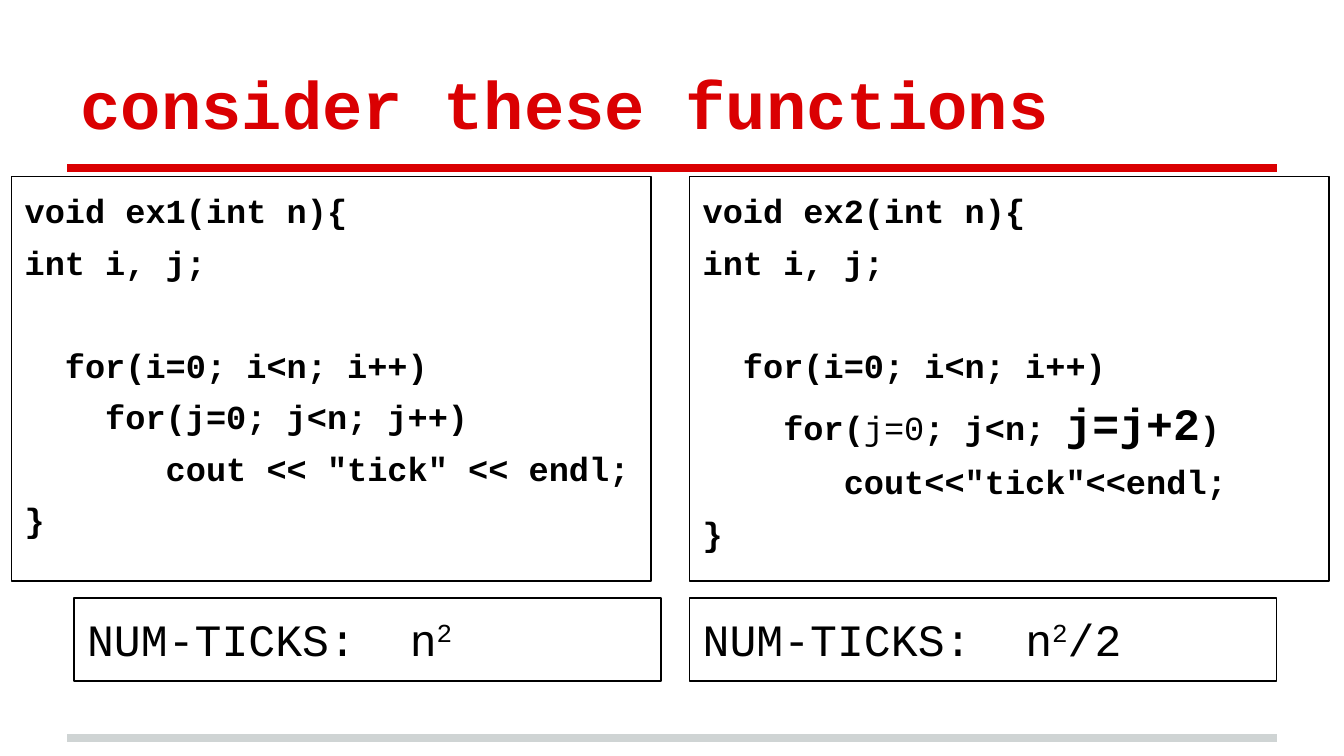
from dataclasses import dataclass

from lxml import etree
from pptx import Presentation
from pptx import util as u
from pptx.dml.color import RGBColor
from pptx.enum import shapes, text
from pptx.oxml.ns import qn


@dataclass(frozen=True)
class Theme:
    font: str = "Courier New"
    red: str = "DA0002"
    gray: str = "CFD4D4"
    ink: str = "000000"
    head: int = 36
    big: int = 24
    code: int = 18
    rule: float = 4
    edge: float = 0.75
    inset: float = 0.1
    gap: float = 6

    @property
    def char(self):
        """Width in points of one character of code."""
        return self.code * 0.6

    @property
    def skip(self):
        """Space in points that stands for one empty line of code."""
        return self.code * 1.2 + 2 * self.gap


class Page:
    """Places elements on one slide, in percent of its width and height."""

    def __init__(self, deck, theme):
        self.wide, self.high = deck.slide_width, deck.slide_height
        self.theme = theme
        self.slide = deck.slides.add_slide(deck.slide_layouts[5])

    def spot(self, x, y):
        return round(self.wide * x / 100), round(self.high * y / 100)

    def frame(self, shape, anchor):
        box = shape.text_frame
        box.word_wrap = True
        box.auto_size = text.MSO_AUTO_SIZE.NONE
        box.vertical_anchor = anchor
        pad = u.Inches(self.theme.inset)
        box.margin_left = box.margin_right = pad
        box.margin_top = box.margin_bottom = pad
        return box

    def run(self, para, words, size, bold=False, color=None, lift=False):
        run = para.add_run()
        run.text = words
        font = run.font
        font.name, font.size, font.bold = self.theme.font, u.Pt(size), bold
        font.color.rgb = RGBColor.from_string(color or self.theme.ink)
        if lift:
            font._element.set("baseline", "30000")

    def title(self, words, x, y, w, h):
        shape = self.slide.shapes.title
        shape.left, shape.top = self.spot(x, y)
        shape.width, shape.height = self.spot(w, h)
        para = self.frame(shape, text.MSO_ANCHOR.BOTTOM).paragraphs[0]
        para.alignment = text.PP_ALIGN.LEFT
        self.run(para, words, self.theme.head, True, self.theme.red)

    def rule(self, y, color, x=5, w=90):
        line = self.slide.shapes.add_connector(
            shapes.MSO_CONNECTOR.STRAIGHT, *self.spot(x, y), *self.spot(x + w, y))
        line.line.color.rgb = RGBColor.from_string(color)
        line.line.width = u.Pt(self.theme.rule)
        etree.SubElement(line._element.spPr, qn("a:effectLst"))

    def box(self, x, y, w, h):
        shape = self.slide.shapes.add_shape(
            shapes.MSO_SHAPE.RECTANGLE, *self.spot(x, y), *self.spot(w, h))
        shape.shadow.inherit = False
        shape.fill.background()
        shape.line.color.rgb = RGBColor.from_string(self.theme.ink)
        shape.line.width = u.Pt(self.theme.edge)
        return self.frame(shape, text.MSO_ANCHOR.TOP)

    def code(self, lines, *area):
        """Lines are (indent in characters, empty lines before, runs)."""
        box = self.box(*area)
        for i, (dent, blank, runs) in enumerate(lines):
            para = box.add_paragraph() if i else box.paragraphs[0]
            para.alignment = text.PP_ALIGN.LEFT
            para.space_before = u.Pt(self.theme.skip if blank else self.theme.gap)
            para._p.get_or_add_pPr().set("marL", str(u.Pt(dent * self.theme.char)))
            for words, size, bold in runs:
                self.run(para, words, size, bold)

    def count(self, tail, *area):
        para = self.box(*area).paragraphs[0]
        para.alignment = text.PP_ALIGN.LEFT
        size = self.theme.big
        self.run(para, "NUM-TICKS:  n", size)
        self.run(para, "2", size, lift=True)
        if tail:
            self.run(para, tail, size)


def listing(name, loop, output, theme):
    def plain(words):
        return [(words, theme.code, True)]

    return [
        (0, 0, plain(f"void {name}(int n){{")),
        (0, 0, plain("int i, j;")),
        (2, 1, plain("for(i=0; i<n; i++)")),
        (4, 0, loop),
        (7, 0, plain(output)),
        (0, 0, plain("}")),
    ]


def main():
    deck = Presentation()
    deck.slide_width = u.Inches(10)
    deck.slide_height = deck.slide_width * 9 // 16
    theme = Theme()
    page = Page(deck, theme)
    page.rule(97.65, theme.gray)
    page.rule(22.22, theme.red)
    page.title("consider these functions", 5, 4, 90, 16.7)

    size = theme.code
    step = [("for(j=0; j<n; j++)", size, True)]
    leap = [("for(", size, True), ("j=0", size, False), ("; j<n; ", size, True),
            ("j=j+2", theme.big, True), (")", size, True)]
    panels = [
        (0.85, 5.5, "ex1", step, 'cout << "tick" << endl;', ""),
        (51.3, 51.3, "ex2", leap, 'cout<<"tick"<<endl;', "/2"),
    ]
    for left, below, name, loop, output, tail in panels:
        page.code(listing(name, loop, output, theme), left, 23.35, 47.6, 53.5)
        page.count(tail, below, 79.1, 43.7, 11)
    deck.save("out.pptx")


if __name__ == "__main__":
    main()
